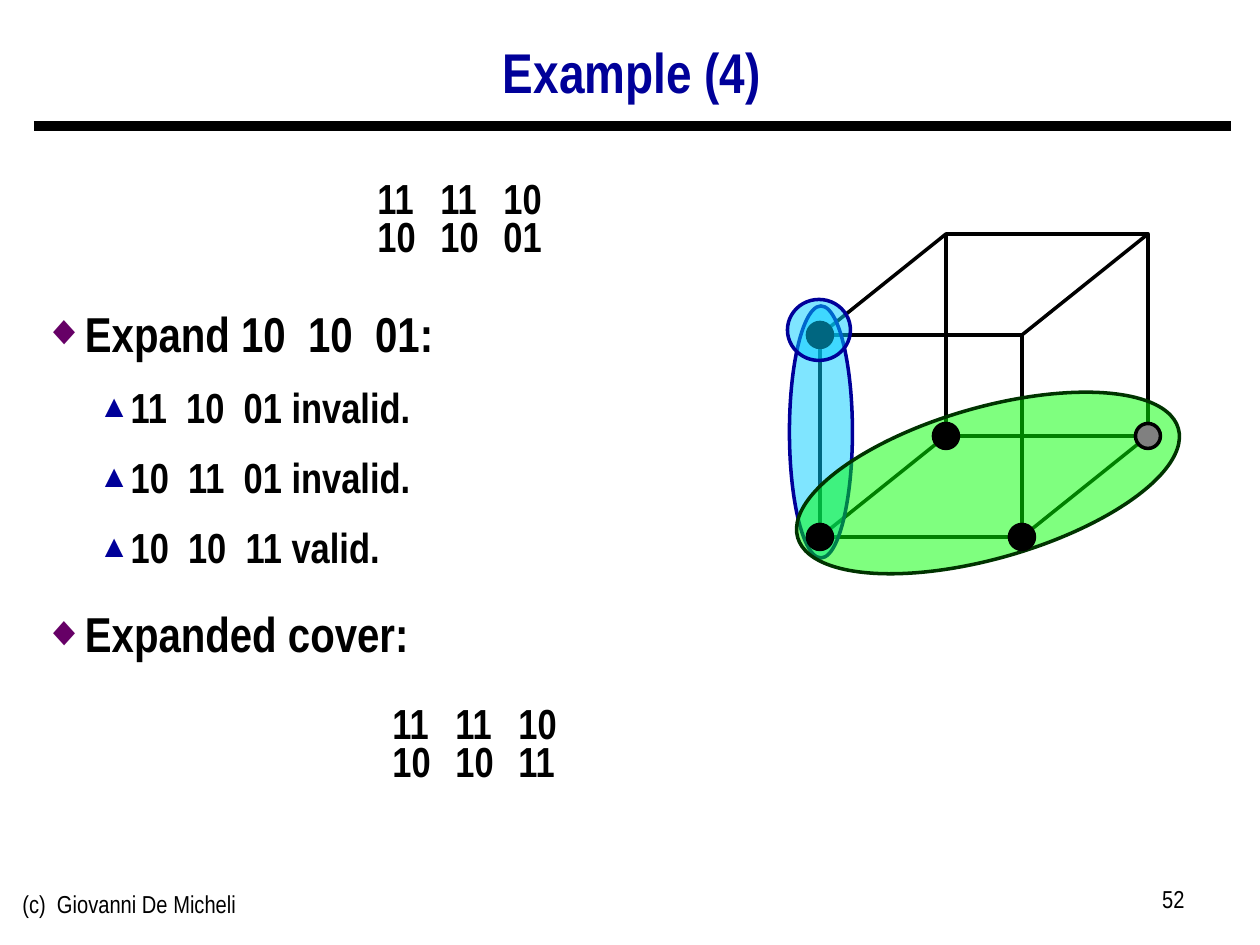
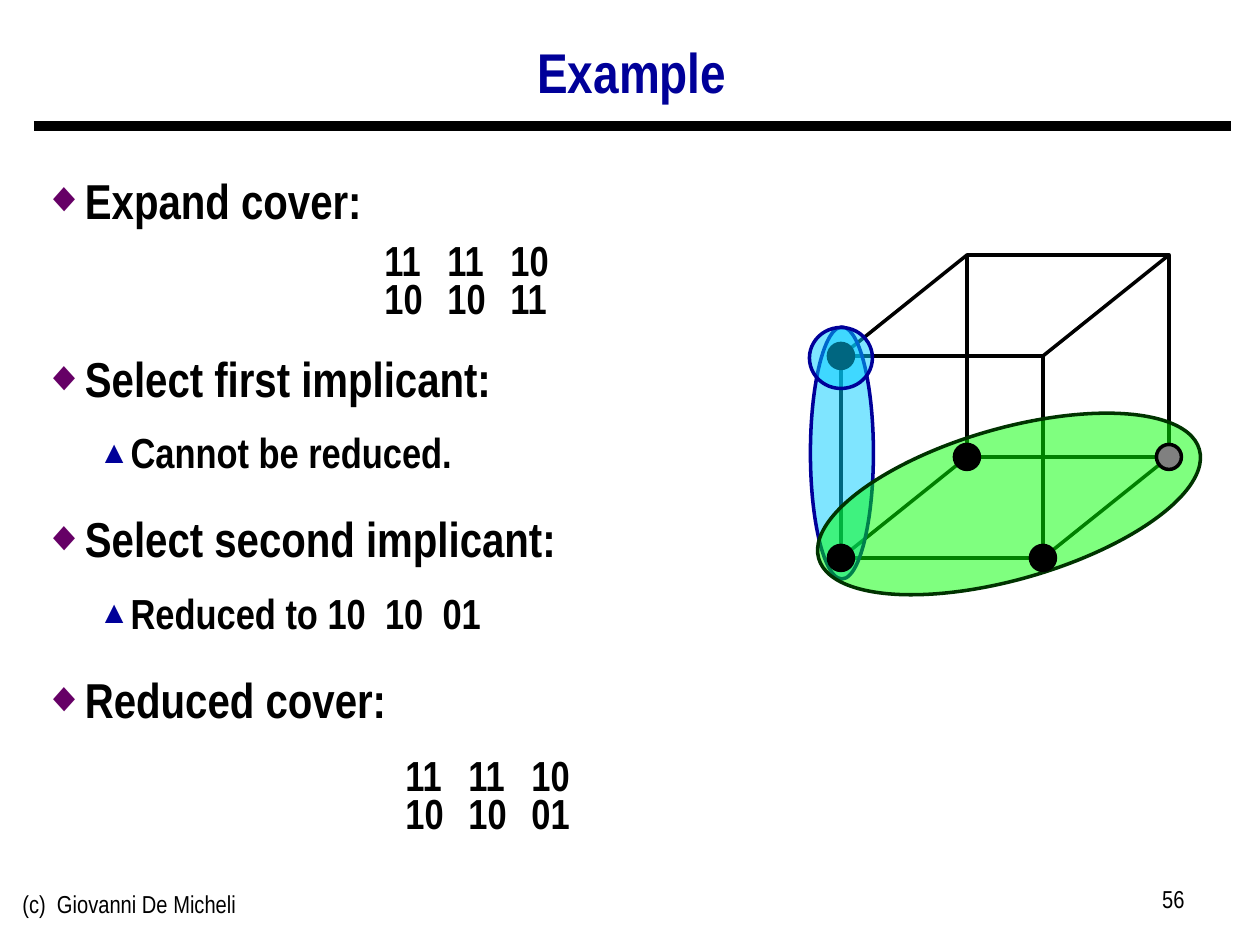
import pptx
import pptx.util
import pptx.dml.color
import pptx.enum.shapes
import pptx.enum.text
import pptx.oxml.ns
from lxml import etree

PX = 914400 // 126
FONT = "Arial Narrow"
COLORS = {
    "black": "000000", "navy": "000099", "purple": "660066", "cyan": "00CCFF",
    "green": "00FF00", "dark_green": "003300", "gray": "808080",
}
ALIGN = pptx.enum.text.PP_ALIGN
SHAPE = pptx.enum.shapes.MSO_SHAPE
STRAIGHT = pptx.enum.shapes.MSO_CONNECTOR.STRAIGHT
qn = pptx.oxml.ns.qn

# Paragraph styles of the body list
HEADING = dict(size=28, bold=True, line_spacing=1.25, space_before=9.7, indent=(39, -39),
               bullet=("◆", "purple", 85))
DETAIL = dict(size=24, bold=True, line_spacing=1.1, space_before=8.3, indent=(87, -32),
              bullet=("▲", "navy", 75), level=1)
AFTER_COVER = dict(HEADING, space_before=60)  # leaves room for a cover above

# Cube geometry, relative to the top left corner of the front face
SIDE, DEPTH_X, DEPTH_Y, DOT = 202, 126, -101, 25

SLIDES = [
    dict(title="Example (4)", number="52", body_top=282, cube=(820, 335), circle=(-1, -5),
         body=[("Expand 10  10  01:", HEADING), ("11  10  01 invalid.", DETAIL),
               ("10  11  01 invalid.", DETAIL), ("10  10  11 valid.", DETAIL),
               ("Expanded cover:", HEADING)],
         covers=[(365, 166, "10\t10\t01"), (380, 691, "10\t10\t11")]),
    dict(title="Example", number="56", body_top=149, cube=(841, 356), circle=(0, 2),
         body=[("Expand cover:", HEADING), ("Select first implicant:", AFTER_COVER),
               ("Cannot be reduced.", DETAIL), ("Select second implicant:", HEADING),
               ("Reduced to 10  10  01", DETAIL), ("Reduced cover:", HEADING)],
         covers=[(372, 228, "10\t10\t11"), (393, 743, "10\t10\t01")]),
]


def write(frame, text, size=24, bold=False, color="black", align=ALIGN.LEFT, level=0,
          line_spacing=1.0, space_before=0, indent=(0, 0), bullet=None, tabs=()):
    """Fill the empty first paragraph of the frame, or append another one."""
    first = not frame.text
    paragraph = frame.paragraphs[0] if first else frame.add_paragraph()
    properties = paragraph._p.get_or_add_pPr()
    properties.set("marL", str(indent[0] * PX))
    properties.set("indent", str(indent[1] * PX))
    if bullet:
        character, bullet_color, percent = bullet
        fill = etree.SubElement(properties, qn("a:buClr"))
        etree.SubElement(fill, qn("a:srgbClr"), val=COLORS[bullet_color])
        etree.SubElement(properties, qn("a:buSzPct"), val=str(percent * 1000))
        etree.SubElement(properties, qn("a:buChar"), char=character)
    if tabs:
        tab_list = etree.SubElement(properties, qn("a:tabLst"))
        for position in tabs:
            etree.SubElement(tab_list, qn("a:tab"), pos=str(position * PX), algn="l")
    paragraph.level = level
    paragraph.alignment = align
    paragraph.line_spacing = line_spacing
    paragraph.space_before = pptx.util.Pt(0 if first else space_before)
    run = paragraph.add_run()
    run.text = text
    run.font.name = FONT
    run.font.size = pptx.util.Pt(size)
    run.font.bold = bold
    run.font.color.rgb = pptx.dml.color.RGBColor.from_string(COLORS[color])


def draw(slide, kind, center, size, fill=None, line="black", opacity=100, rotation=0):
    """Add a preset shape around its centre."""
    (x, y), (width, height) = center, size
    shape = slide.shapes.add_shape(kind, int((x - width / 2) * PX), int((y - height / 2) * PX),
                                   width * PX, height * PX)
    shape.shadow.inherit = False
    shape.rotation = rotation
    shape.line.width = pptx.util.Pt(2)
    shape.line.color.rgb = pptx.dml.color.RGBColor.from_string(COLORS[line])
    if fill is None:
        shape.fill.background()
        return
    shape.fill.solid()
    shape.fill.fore_color.rgb = pptx.dml.color.RGBColor.from_string(COLORS[fill])
    if opacity < 100:
        color = shape._element.spPr.find(qn("a:solidFill")).find(qn("a:srgbClr"))
        etree.SubElement(color, qn("a:alpha"), val=str(opacity * 1000))


presentation = pptx.Presentation()
presentation.slide_width = 1260 * PX
presentation.slide_height = 945 * PX

for content in SLIDES:
    slide = presentation.slides.add_slide(presentation.slide_layouts[1])
    title, body = slide.placeholders

    # Title and list
    title.left, title.top, title.width, title.height = 33 * PX, 28 * PX, 1198 * PX, 94 * PX
    title.text_frame.vertical_anchor = pptx.enum.text.MSO_ANCHOR.MIDDLE
    write(title.text_frame, content["title"], size=32, bold=True, color="navy",
          align=ALIGN.CENTER, line_spacing=0.9)
    body.left, body.top = 31 * PX, content["body_top"] * PX
    body.width, body.height = 1198 * PX, (866 - content["body_top"]) * PX
    for text, style in content["body"]:
        write(body.text_frame, text, **style)
    for frame in (title.text_frame, body.text_frame):
        frame.auto_size = pptx.enum.text.MSO_AUTO_SIZE.NONE

    # Footer, page number and covers
    boxes = [(10, 883, 399, "(c)  Giovanni De Micheli", dict(size=14)),
             (903, 878, 294, content["number"], dict(size=14, align=ALIGN.RIGHT))]
    for left, top, last_row in content["covers"]:
        for row, text in enumerate(("11\t11\t10", last_row)):
            boxes.append((left, top + 38 * row, 260, text, dict(bold=True, tabs=(85, 171))))
    for left, top, width, text, style in boxes:
        box = slide.shapes.add_textbox(left * PX, top * PX, width * PX, 63 * PX)
        box.text_frame.word_wrap = True
        write(box.text_frame, text, **style)

    # Cube faces
    x, y = content["cube"]
    for dx, dy in ((0, 0), (DEPTH_X, DEPTH_Y)):
        draw(slide, SHAPE.RECTANGLE, (x + dx + SIDE / 2, y + dy + SIDE / 2), (SIDE, SIDE))

    # Title rule and the cube edges that run into depth
    lines = [(34, 126, 1231, 126, 6)]
    for dx in (0, SIDE):
        for dy in (0, SIDE):
            lines.append((x + dx, y + dy, x + dx + DEPTH_X, y + dy + DEPTH_Y, 2))
    for x1, y1, x2, y2, weight in lines:
        line = slide.shapes.add_connector(STRAIGHT, x1 * PX, y1 * PX, x2 * PX, y2 * PX)
        line.line.width = pptx.util.Pt(weight)
        line.line.color.rgb = pptx.dml.color.RGBColor.from_string(COLORS["black"])
        etree.SubElement(line._element.spPr, qn("a:effectLst"))

    # Implicants and minterms
    draw(slide, SHAPE.OVAL, (x + 1, y + 97), (63, 252), "cyan", "navy", opacity=50)
    draw(slide, SHAPE.OVAL, (x, y), (DOT, DOT), "black")
    draw(slide, SHAPE.OVAL, (x + 168, y + 148), (396, 151), "green", "dark_green",
         opacity=50, rotation=344)
    for dx, dy, fill in ((0, 0, "black"), (DEPTH_X, DEPTH_Y, "black"), (SIDE, 0, "black"),
                         (SIDE + DEPTH_X, DEPTH_Y, "gray")):
        draw(slide, SHAPE.OVAL, (x + dx, y + SIDE + dy), (DOT, DOT), fill)
    circle_x, circle_y = content["circle"]
    draw(slide, SHAPE.OVAL, (x + circle_x, y + circle_y), (63, 61), "cyan", "navy", opacity=50)

presentation.save("out.pptx")
